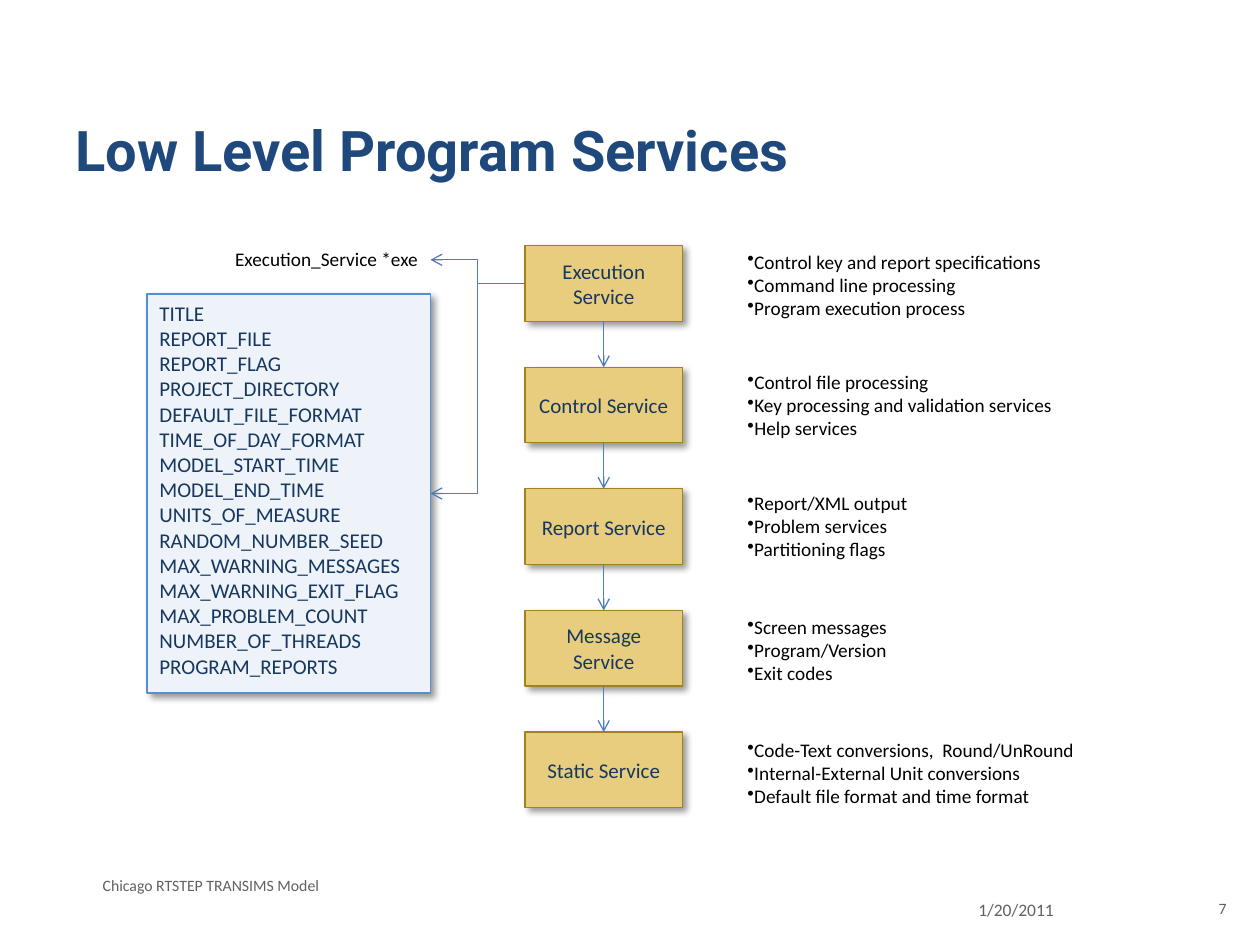
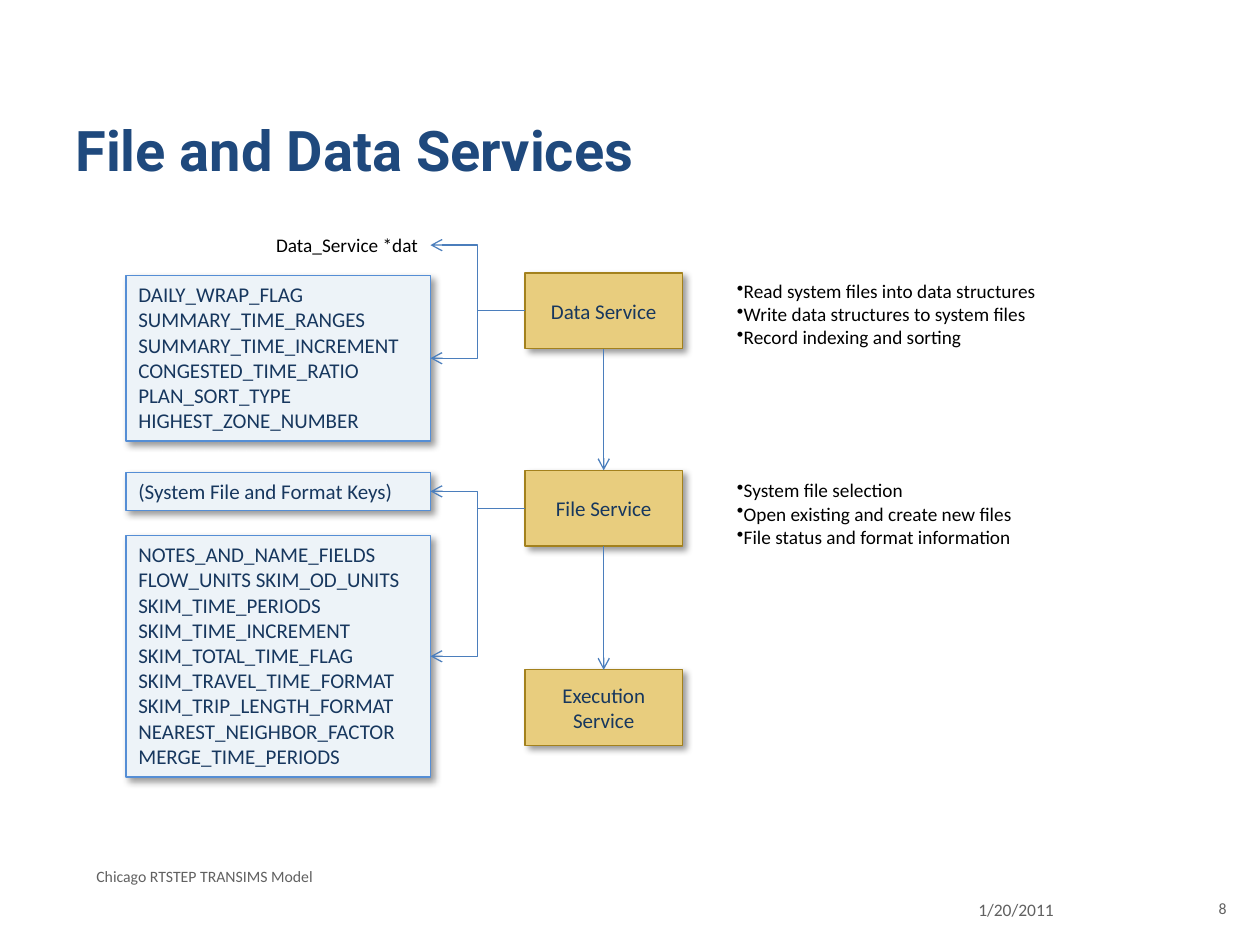
from pptx import Presentation
from pptx.dml.color import RGBColor
from pptx.enum.shapes import MSO_CONNECTOR, MSO_SHAPE
from pptx.enum.text import MSO_ANCHOR, PP_ALIGN
from pptx.oxml import parse_xml
from pptx.oxml.ns import nsdecls, qn
from pptx.oxml.xmlchemy import OxmlElement
from pptx.util import Inches, Pt

NAVY = RGBColor(0x1F, 0x49, 0x7D)
INK = RGBColor(0x17, 0x37, 0x5E)
BLACK = RGBColor(0, 0, 0)
GREY = RGBColor(0x61, 0x61, 0x61)
GOLD = RGBColor(0xE8, 0xCD, 0x7E)
GOLD_EDGE = RGBColor(0xA3, 0x81, 0x1D)
PALE = RGBColor(0xED, 0xF3, 0xF8)
PALE_EDGE = RGBColor(0x55, 0x8E, 0xD5)
ARROW = RGBColor(0x4B, 0x7E, 0xBC)

WIDTH, HEIGHT = Inches(10), Inches(7.5)
COLS, ROWS = 120, 90
TOP, LEFT, BOTTOM, RIGHT = range(4)
BOX_COL, BOX_W, BOX_H = 50, 15, 7.2
PANEL_RIGHT = 41

SHADOW = (
    f'<a:outerShdw {nsdecls("a")} blurRad="50800" dist="38100" dir="2700000" '
    'algn="tl" rotWithShape="0"><a:srgbClr val="000000">'
    '<a:alpha val="40000"/></a:srgbClr></a:outerShdw>'
)


class Deck:
    """Slide style and current slide; lengths are grid columns and rows."""

    def __init__(self):
        self.prs = Presentation()
        self.prs.slide_width, self.prs.slide_height = WIDTH, HEIGHT
        self.s = None

    def grid(self, col, row, cols, rows):
        x, y = WIDTH / COLS, HEIGHT / ROWS
        return [round(n) for n in (col * x, row * y, cols * x, rows * y)]

    def add_lines(self, sp, lines, size, color, font="Calibri", bold=False,
                  align=PP_ALIGN.LEFT, anchor=MSO_ANCHOR.TOP, bullet=False):
        tf = sp.text_frame
        tf.word_wrap = True
        tf.vertical_anchor = anchor
        for i, line in enumerate(lines):
            p = tf.paragraphs[0] if i == 0 else tf.add_paragraph()
            if bullet:
                bu = OxmlElement("a:buChar")
                bu.set("char", "•")
                p._p.get_or_add_pPr().append(bu)
            p.alignment = align
            r = p.add_run()
            r.text = line
            r.font.name, r.font.size, r.font.bold = font, Pt(size), bold
            r.font.color.rgb = color

    def text(self, area, lines, size, color, **style):
        sp = self.s.shapes.add_textbox(*self.grid(*area))
        self.add_lines(sp, lines, size, color, **style)
        return sp

    def slide(self, title, number, footer_at):
        self.s = self.prs.slides.add_slide(self.prs.slide_layouts[6])
        sp = self.text((6, 3.6, 108, 15), [title], 32, NAVY, font="Roboto",
                       bold=True, anchor=MSO_ANCHOR.BOTTOM)
        sp.text_frame.margin_bottom = Inches(0.1)
        self.text((92, 85, 18, 4), ["1/20/2011"], 10, GREY)
        self.text((*footer_at, 78, 3), ["Chicago RTSTEP TRANSIMS Model"], 9, GREY)
        self.text((113, 85, 5, 3.8), [str(number)], 9, GREY, align=PP_ALIGN.RIGHT)

    def shape(self, kind, area, fill, edge, lines, **style):
        sp = self.s.shapes.add_shape(kind, *self.grid(*area))
        sp.fill.solid()
        sp.fill.fore_color.rgb = fill
        sp.line.color.rgb = edge
        sp.line.width = Pt(0.75)
        sp.shadow.inherit = False
        sp._element.spPr.find(qn("a:effectLst")).append(parse_xml(SHADOW))
        self.add_lines(sp, lines, 12, INK, **style)
        return sp

    def service(self, row, name):
        return self.shape(MSO_SHAPE.FLOWCHART_PROCESS, (BOX_COL, row, BOX_W, BOX_H),
                          GOLD, GOLD_EDGE, [name],
                          align=PP_ALIGN.CENTER, anchor=MSO_ANCHOR.MIDDLE)

    def key_panel(self, col, row, rows, keys):
        return self.shape(MSO_SHAPE.RECTANGLE, (col, row, PANEL_RIGHT - col, rows),
                          PALE, PALE_EDGE, keys)

    def pointer_label(self, row, name):
        return self.text((20, row, PANEL_RIGHT - 20, 3.5), [name], 11, BLACK,
                         align=PP_ALIGN.RIGHT)

    def bullets(self, col, row, cols, lines):
        self.text((col, row, cols, 7.9), lines, 11, BLACK, bullet=True)

    def arrow(self, kind, start, start_side, end, end_side):
        c = self.s.shapes.add_connector(kind, 0, 0, 0, 0)
        c.begin_connect(start, start_side)
        c.end_connect(end, end_side)
        c.line.color.rgb = ARROW
        c.line.width = Pt(0.75)
        tail = OxmlElement("a:tailEnd")
        tail.set("type", "arrow")
        c._element.spPr.find(qn("a:ln")).append(tail)
        c._element.spPr.append(OxmlElement("a:effectLst"))

    def chain(self, boxes):
        for upper, lower in zip(boxes, boxes[1:]):
            self.arrow(MSO_CONNECTOR.STRAIGHT, upper, BOTTOM, lower, TOP)

    def branch(self, box, *targets):
        for target in targets:
            self.arrow(MSO_CONNECTOR.ELBOW, box, LEFT, target, RIGHT)


LOW_LEVEL = [  # name, bullet row, bullet width, bullets
    ("Execution Service", 23.2, 31,
     ["Control key and report specifications", "Command line processing",
      "Program execution process"]),
    ("Control Service", 34.7, 34,
     ["Control file processing", "Key processing and validation services",
      "Help services"]),
    ("Report Service", 46.2, 31,
     ["Report/XML output", "Problem services", "Partitioning flags"]),
    ("Message Service", 58, 31,
     ["Screen messages", "Program/Version", "Exit codes"]),
    ("Static Service", 69.7, 36,
     ["Code-Text conversions,  Round/UnRound",
      "Internal-External Unit conversions", "Default file format and time format"]),
]
EXECUTION_KEYS = [
    "TITLE", "REPORT_FILE", "REPORT_FLAG", "PROJECT_DIRECTORY",
    "DEFAULT_FILE_FORMAT TIME_OF_DAY_FORMAT",
    "MODEL_START_TIME", "MODEL_END_TIME",
    "UNITS_OF_MEASURE RANDOM_NUMBER_SEED MAX_WARNING_MESSAGES "
    "MAX_WARNING_EXIT_FLAG",
    "MAX_PROBLEM_COUNT NUMBER_OF_THREADS", "PROGRAM_REPORTS",
]
DATA_KEYS = [
    "DAILY_WRAP_FLAG SUMMARY_TIME_RANGES",
    "SUMMARY_TIME_INCREMENT",
    "CONGESTED_TIME_RATIO PLAN_SORT_TYPE HIGHEST_ZONE_NUMBER",
]
FILE_KEYS = [
    "NOTES_AND_NAME_FIELDS FLOW_UNITS SKIM_OD_UNITS SKIM_TIME_PERIODS",
    "SKIM_TIME_INCREMENT SKIM_TOTAL_TIME_FLAG SKIM_TRAVEL_TIME_FORMAT "
    "SKIM_TRIP_LENGTH_FORMAT",
    "NEAREST_NEIGHBOR_FACTOR MERGE_TIME_PERIODS",
]


def low_level_services(deck):
    deck.slide("Low Level Program Services", 7, (8.6, 82.8))
    boxes = []
    for i, (name, row, cols, lines) in enumerate(LOW_LEVEL):
        boxes.append(deck.service(23.4 + 11.58 * i, name))
        deck.bullets(70, row, cols, lines)
    deck.chain(boxes)
    deck.branch(boxes[0], deck.pointer_label(23, "Execution_Service *exe"),
                deck.key_panel(14, 28, 38, EXECUTION_KEYS))


def file_and_data_services(deck):
    deck.slide("File and Data Services", 8, (8, 82))
    data = deck.service(26, "Data Service")
    file = deck.service(44.8, "File Service")
    execution = deck.service(63.8, "Execution Service")
    deck.chain([data, file, execution])
    deck.bullets(69, 26, 31, ["Read system files into data structures",
                              "Write data structures to system files",
                              "Record indexing and sorting"])
    deck.bullets(69, 45, 31, ["System file selection",
                              "Open existing and create new files",
                              "File status and format information"])
    deck.branch(data, deck.pointer_label(21.6, "Data_Service *dat"),
                deck.key_panel(12, 26.25, 15.75, DATA_KEYS))
    deck.branch(file, deck.key_panel(12, 45, 3.6, ["(System File and Format Keys)"]),
                deck.key_panel(12, 51, 23, FILE_KEYS))


def main():
    deck = Deck()
    low_level_services(deck)
    file_and_data_services(deck)
    deck.prs.save("out.pptx")


if __name__ == "__main__":
    main()
